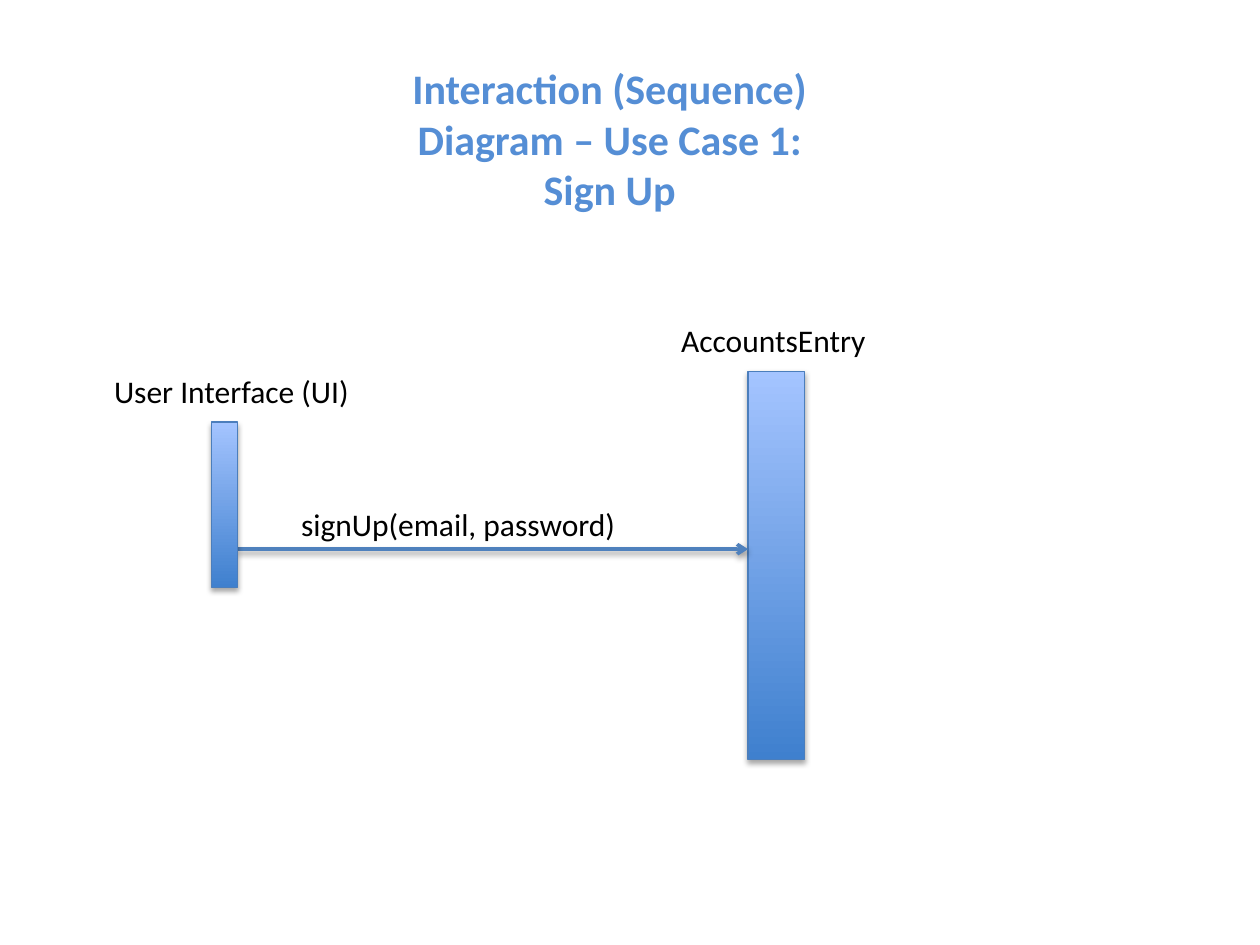
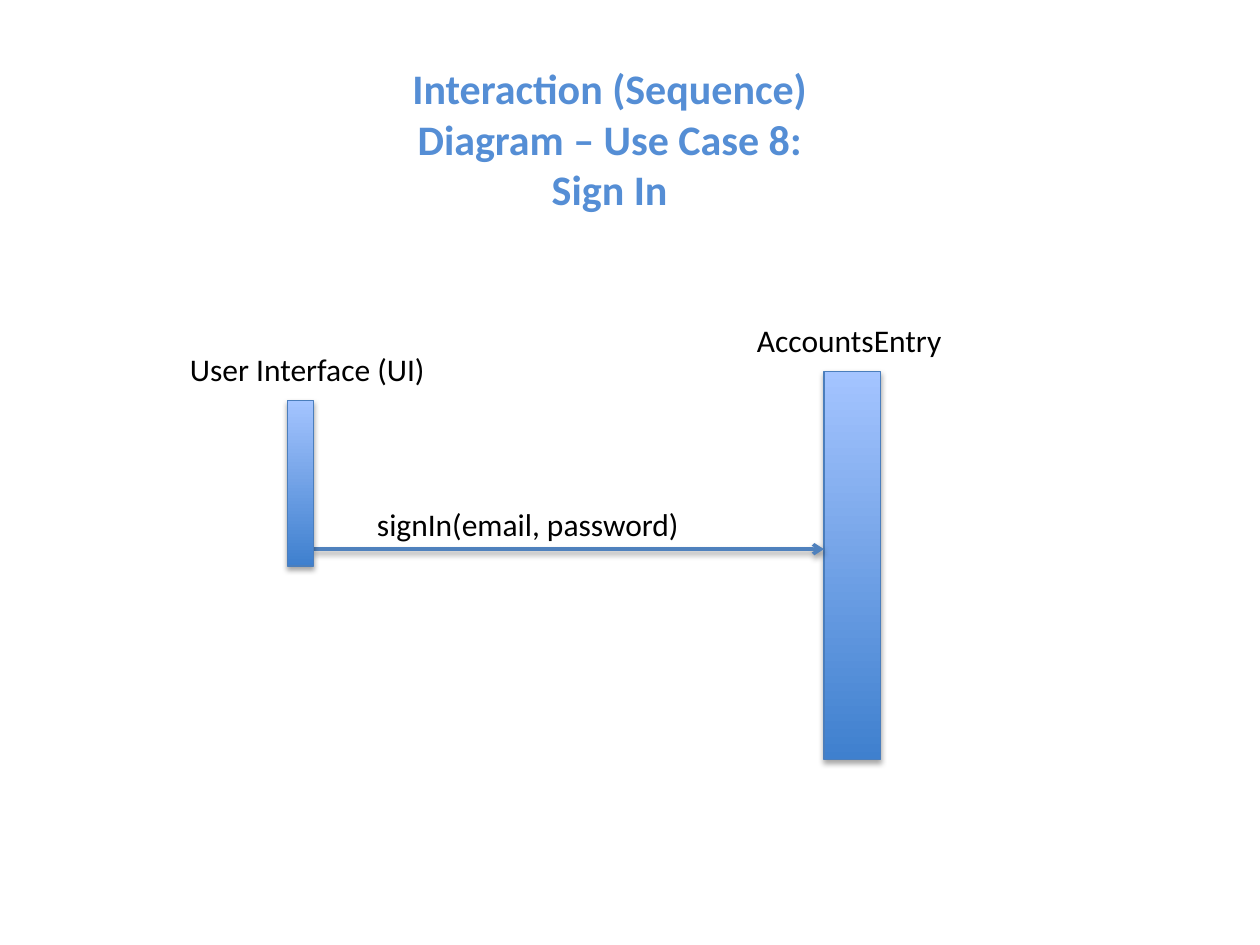
from lxml.etree import SubElement
from pptx import Presentation
from pptx.dml.color import RGBColor
from pptx.enum.shapes import MSO_CONNECTOR, MSO_SHAPE
from pptx.enum.text import MSO_ANCHOR, MSO_AUTO_SIZE, PP_ALIGN
from pptx.oxml.ns import qn
from pptx.util import Cm, Pt

TITLE_BLUE = RGBColor(0x55, 0x8E, 0xD5)
BAR_DARK = RGBColor(0x3F, 0x80, 0xCE)
BAR_LIGHT = RGBColor(0xA4, 0xC4, 0xFF)
BAR_BORDER = RGBColor(0x4B, 0x7E, 0xBC)
ARROW_BLUE = RGBColor(0x4F, 0x81, 0xBD)
BLACK = RGBColor(0, 0, 0)
FONT = "Calibri"
TITLE_ONLY = 5

# Lengths in centimetres
UI_WIDTH, UI_HEIGHT = 0.53, 3.33
ENTRY_WIDTH, ENTRY_HEIGHT = 1.14, 7.82
ENTRY_TOP = 7.49
UI_TO_ENTRY = 10.82
MESSAGE_TOP = 11.07
LABEL_HEIGHT = 1.03
LABEL_RISE = 1.14


def add_run(paragraph, text, size, color, bold=False):
    run = paragraph.add_run()
    run.text = text
    run.font.name = FONT
    run.font.size = Pt(size)
    run.font.bold = bold
    run.font.color.rgb = color


def add_shadow(shape, opacity, distance):
    """Cast a soft black shadow straight down; call after the line is set."""
    effects = SubElement(shape._element.spPr, qn("a:effectLst"))
    shadow = SubElement(effects, qn("a:outerShdw"), blurRad=str(Pt(3.1)),
                        dist=str(Pt(distance)), dir="5400000", rotWithShape="0")
    color = SubElement(shadow, qn("a:srgbClr"), val=str(BLACK))
    SubElement(color, qn("a:alpha"), val=str(opacity * 1000))


def set_title(slide, text):
    title = slide.shapes.title
    title.left, title.top = Cm(7.39), Cm(1.14)
    title.width, title.height = Cm(9.8), Cm(3.33)
    frame = title.text_frame
    frame.word_wrap = True
    frame.auto_size = MSO_AUTO_SIZE.SHAPE_TO_FIT_TEXT
    frame.vertical_anchor = MSO_ANCHOR.TOP
    paragraph = frame.paragraphs[0]
    paragraph.alignment = PP_ALIGN.CENTER
    add_run(paragraph, text, 24, TITLE_BLUE, bold=True)


def add_label(slide, text, left, top, width):
    box = slide.shapes.add_textbox(Cm(left), Cm(top), Cm(width), Cm(LABEL_HEIGHT))
    box.text_frame.word_wrap = False
    box.text_frame.auto_size = MSO_AUTO_SIZE.SHAPE_TO_FIT_TEXT
    add_run(box.text_frame.paragraphs[0], text, 18, BLACK)


def add_activation_bar(slide, left, top, width, height):
    bar = slide.shapes.add_shape(MSO_SHAPE.RECTANGLE, Cm(left), Cm(top),
                                 Cm(width), Cm(height))
    bar.fill.gradient()
    bar.fill.gradient_angle = 90
    for stop, color in zip(bar.fill.gradient_stops, (BAR_DARK, BAR_LIGHT)):
        stop.color.rgb = color
    bar.line.color.rgb = BAR_BORDER
    bar.line.width = Pt(0.75)
    add_shadow(bar, opacity=35, distance=1.8)


def add_message_arrow(slide, start, end):
    arrow = slide.shapes.add_connector(MSO_CONNECTOR.STRAIGHT, Cm(start),
                                       Cm(MESSAGE_TOP), Cm(end), Cm(MESSAGE_TOP))
    arrow.line.color.rgb = ARROW_BLUE
    arrow.line.width = Pt(2)
    SubElement(arrow.line._get_or_add_ln(), qn("a:tailEnd"), type="arrow")
    add_shadow(arrow, opacity=38, distance=1.6)


def add_sequence_slide(presentation, title, message, message_width, ui_left, ui_top):
    slide = presentation.slides.add_slide(presentation.slide_layouts[TITLE_ONLY])
    set_title(slide, title)
    entry_left = ui_left + UI_TO_ENTRY
    add_activation_bar(slide, entry_left, ENTRY_TOP, ENTRY_WIDTH, ENTRY_HEIGHT)
    add_label(slide, "AccountsEntry", entry_left - 1.6, ENTRY_TOP - LABEL_RISE, 4.29)
    add_message_arrow(slide, ui_left + UI_WIDTH, entry_left)
    add_label(slide, message, ui_left + 1.56, MESSAGE_TOP - 1.01, message_width)
    add_activation_bar(slide, ui_left, ui_top, UI_WIDTH, UI_HEIGHT)
    add_label(slide, "User Interface (UI)", ui_left - 2.21, ui_top - LABEL_RISE, 5.31)


def main():
    presentation = Presentation()
    presentation.slide_width, presentation.slide_height = Cm(25.4), Cm(19.05)
    add_sequence_slide(presentation,
                       "Interaction (Sequence) Diagram – Use Case 1: Sign Up",
                       "signUp(email, password)", 6.93, ui_left=4.26, ui_top=8.51)
    add_sequence_slide(presentation,
                       "Interaction (Sequence) Diagram – Use Case 8: Sign In",
                       "signIn(email, password)", 6.68, ui_left=5.79, ui_top=8.08)
    presentation.save("out.pptx")


if __name__ == "__main__":
    main()
